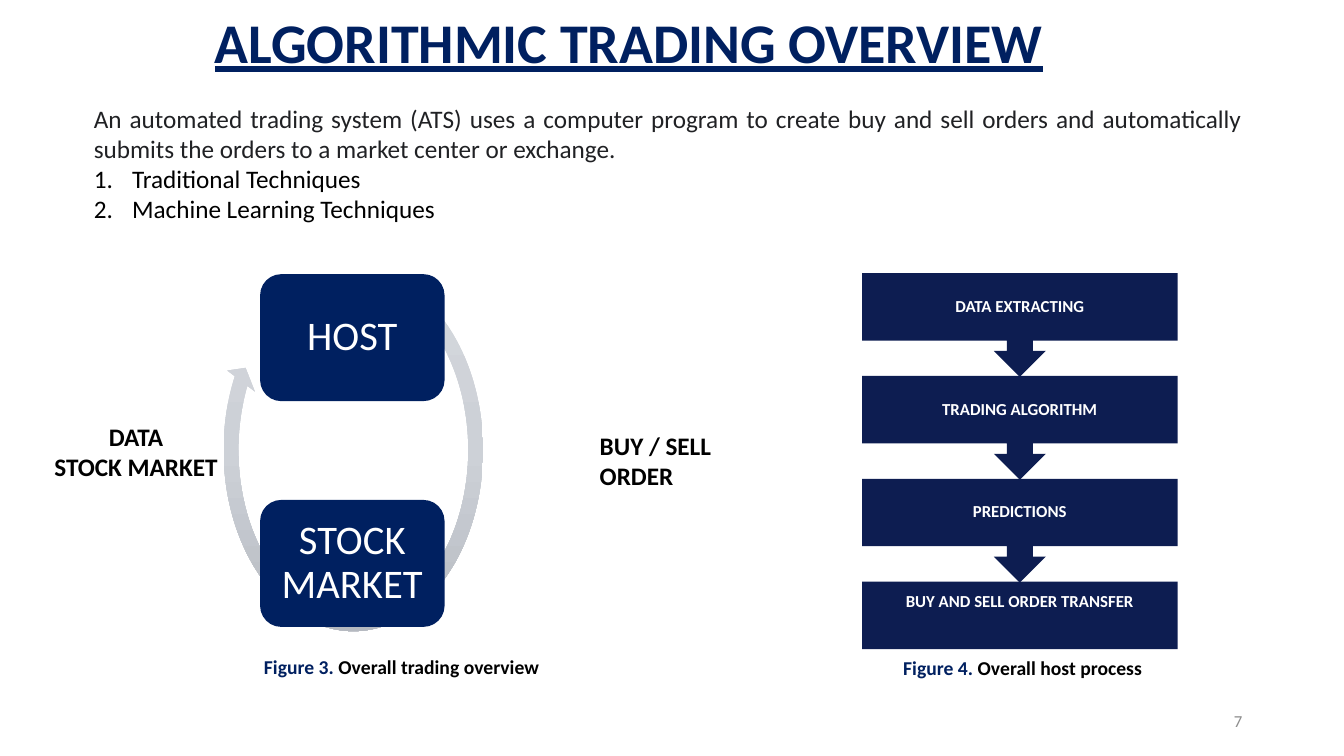
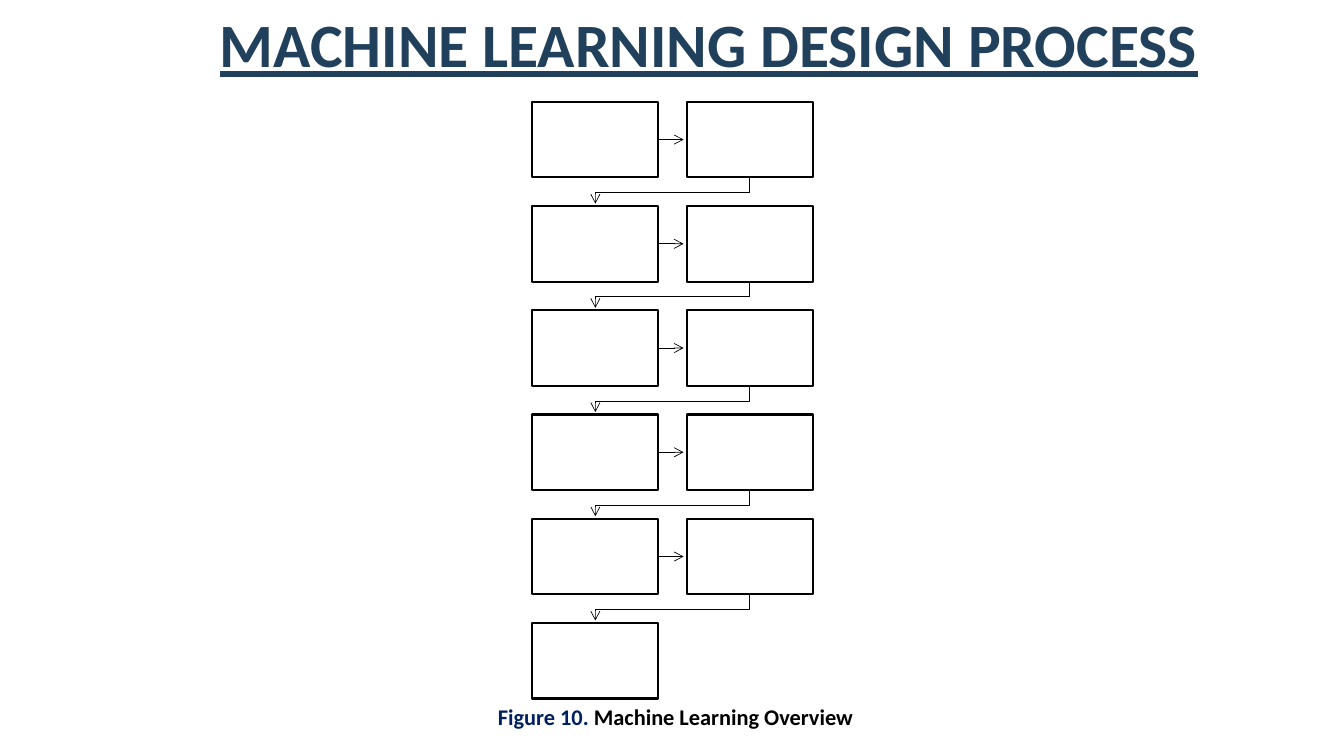
from copy import deepcopy

from lxml import etree
from pptx import Presentation
from pptx.dml.color import RGBColor
from pptx.enum.shapes import MSO_CONNECTOR, MSO_SHAPE
from pptx.enum.text import MSO_ANCHOR, MSO_AUTO_SIZE, PP_ALIGN
from pptx.oxml.ns import qn
from pptx.util import Inches, Pt

FONT = "Calibri"
WHITE = RGBColor(0xFF, 0xFF, 0xFF)
BLACK = RGBColor(0x00, 0x00, 0x00)
NAVY = RGBColor(0x00, 0x20, 0x60)
PROCESS_NAVY = RGBColor(0x0D, 0x1D, 0x51)
SLATE = RGBColor(0x21, 0x40, 0x5C)
INK = RGBColor(0x20, 0x21, 0x24)
GREY = RGBColor(0x8C, 0x8C, 0x8C)
RING_COLOURS = [
    (0, RGBColor(0xD5, 0xD8, 0xDD)),
    (0.5, RGBColor(0xCD, 0xD1, 0xD7)),
    (1, RGBColor(0xB5, 0xB9, 0xC0)),
]

LEFT, CENTER, RIGHT = PP_ALIGN.LEFT, PP_ALIGN.CENTER, PP_ALIGN.RIGHT
JUSTIFY = PP_ALIGN.JUSTIFY
TOP, MIDDLE = MSO_ANCHOR.TOP, MSO_ANCHOR.MIDDLE
NO_AUTOFIT = MSO_AUTO_SIZE.NONE
RECTANGLE = MSO_SHAPE.RECTANGLE
ROUNDED = MSO_SHAPE.ROUNDED_RECTANGLE
CALLOUT = MSO_SHAPE.DOWN_ARROW_CALLOUT
RING = MSO_SHAPE.CIRCULAR_ARROW
STRAIGHT = MSO_CONNECTOR.STRAIGHT


def inches(*lengths):
    return [Inches(length) for length in lengths]


def style_run(span, size, colour, bold=False):
    span.font.name = FONT
    span.font.size = Pt(size)
    span.font.bold = bold
    span.font.color.rgb = colour


def style_paragraph(para, size, colour, bold=False, align=LEFT, spacing=1.0):
    para.alignment = align
    para.line_spacing = spacing
    para.space_before = Pt(0)
    for span in para.runs:
        style_run(span, size, colour, bold)


def set_title(slide, text, box, size, colour, spacing):
    title = slide.shapes.title
    title.left, title.top, title.width, title.height = inches(*box)
    frame = title.text_frame
    frame.text = text
    frame.auto_size = NO_AUTOFIT
    frame.vertical_anchor = TOP
    para = frame.paragraphs[0]
    style_paragraph(para, size, colour, True, spacing=spacing)
    para.runs[0].font.underline = True


def add_label(slide, text, box, size, colour=BLACK, bold=False, align=LEFT,
              anchor=TOP, wrap=True):
    label = slide.shapes.add_textbox(*inches(*box))
    frame = label.text_frame
    frame.text = text
    frame.word_wrap = wrap
    frame.vertical_anchor = anchor
    for para in frame.paragraphs:
        style_paragraph(para, size, colour, bold, align)


def add_caption(slide, number, text, box, size):
    caption = slide.shapes.add_textbox(*inches(*box))
    caption.text_frame.word_wrap = True
    para = caption.text_frame.paragraphs[0]
    for words, colour in ((f"Figure {number}. ", NAVY), (text, BLACK)):
        span = para.add_run()
        span.text = words
        style_run(span, size, colour, True)


def add_block(slide, kind, box, colour):
    block = slide.shapes.add_shape(kind, *inches(*box))
    block.shadow.inherit = False
    block.fill.solid()
    block.fill.fore_color.rgb = colour
    block.line.fill.background()
    return block


def fill_block(block, text, size, inset, bold=False):
    frame = block.text_frame
    frame.text = text
    frame.word_wrap = True
    frame.vertical_anchor = MIDDLE
    frame.margin_left = frame.margin_right = Inches(inset)
    frame.margin_top = frame.margin_bottom = Inches(inset)
    style_paragraph(frame.paragraphs[0], size, WHITE, bold, CENTER, 0.9)


def set_numbering(para, numbered):
    properties = para._p.get_or_add_pPr()
    indent = Inches(0.38) if numbered else 0
    properties.set("marL", str(indent))
    properties.set("indent", str(-indent))
    if numbered:
        bullet = etree.SubElement(properties, qn("a:buAutoNum"))
        bullet.set("type", "arabicPeriod")
    else:
        etree.SubElement(properties, qn("a:buNone"))


def add_introduction(slide, box):
    body = slide.placeholders[1]
    body.left, body.top, body.width, body.height = inches(*box)
    frame = body.text_frame
    frame.text = (
        "An automated trading system (ATS) uses a computer program to create "
        "buy and sell orders and automatically submits the orders to a market "
        "center or exchange.\n"
        "Traditional Techniques\n"
        "Machine Learning Techniques"
    )
    frame.auto_size = NO_AUTOFIT
    frame.vertical_anchor = TOP
    for index, para in enumerate(frame.paragraphs):
        style_paragraph(para, 18, BLACK if index else INK, align=JUSTIFY)
        set_numbering(para, index > 0)


def add_ring(slide, box):
    ring = slide.shapes.add_shape(RING, *inches(*box))
    ring.shadow.inherit = False
    ring.line.fill.background()
    for index, value in enumerate((0.053, 3.439, 126.958, 180.752, 0.062)):
        ring.adjustments[index] = value
    ring.fill.gradient()
    ring.fill.gradient_angle = 270
    stop_list = ring._element.spPr.find(qn("a:gradFill")).find(qn("a:gsLst"))
    stop_list.append(deepcopy(stop_list[-1]))
    for stop, (position, colour) in zip(ring.fill.gradient_stops, RING_COLOURS):
        stop.position = position
        stop.color.rgb = colour


def add_trading_cycle(slide, left, top):
    add_ring(slide, (left + 1.69, top, 2.77, 3.79))
    for text, offset in (("HOST", 0.15), ("STOCK MARKET", 2.39)):
        block = add_block(slide, ROUNDED, (left + 2.15, top + offset, 1.83, 1.26), NAVY)
        fill_block(block, text, 29, 0.12)
    add_label(slide, "BUY / SELL ORDER", (left + 5.42, top + 1.65, 1.9, 0.71), 18,
              bold=True)
    add_label(slide, "DATA\nSTOCK MARKET", (left, top + 1.56, 1.84, 0.71), 18,
              bold=True, align=CENTER, wrap=False)


def add_host_process(slide, left, top, width):
    pitch, callout_height, box_height = 1.02, 1.03, 0.67
    stages = ["DATA EXTRACTING", "TRADING ALGORITHM", "PREDICTIONS"]
    for index, text in enumerate(stages):
        box = (left, top + index * pitch, width, callout_height)
        fill_block(add_block(slide, CALLOUT, box, PROCESS_NAVY), text, 12, 0.09, True)
    box = (left, top + len(stages) * pitch, width, box_height)
    transfer = add_block(slide, RECTANGLE, box, PROCESS_NAVY)
    fill_block(transfer, "BUY AND SELL ORDER TRANSFER", 12, 0.09, True)
    transfer.text_frame.margin_bottom = Inches(0.36)


def style_arrow(arrow):
    arrow.line.color.rgb = BLACK
    arrow.line.width = Pt(0.5)
    line = arrow._element.spPr.find(qn("a:ln"))
    etree.SubElement(line, qn("a:tailEnd")).set("type", "arrow")


def add_side_arrow(slide, left, middle, length):
    arrow = slide.shapes.add_connector(
        STRAIGHT, *inches(left, middle, left + length, middle))
    style_arrow(arrow)
    etree.SubElement(arrow._element.spPr, qn("a:effectLst"))


def add_return_arrow(slide, start, top, end):
    """Lead from the bottom of a right-hand step to the next row."""
    turn = top + 0.15
    points = [(start, top), (start, turn), (end, turn), (end, top + 0.26)]
    corners = [tuple(inches(*point)) for point in points]
    builder = slide.shapes.build_freeform(*corners[0])
    builder.add_line_segments(corners[1:], close=False)
    arrow = builder.convert_to_shape()
    arrow.shadow.inherit = False
    arrow.fill.background()
    style_arrow(arrow)


def add_step_grid(slide, left, top, height, count=11):
    """Place empty steps in two columns, joined in reading order."""
    step_width, step_height, column_pitch = 1.25, 0.75, 1.53
    last_row = (count - 1) // 2
    row_pitch = (height - step_height) / last_row
    for index in range(count):
        row, column = divmod(index, 2)
        x = left + column * column_pitch
        y = top + row * row_pitch
        step = add_block(slide, RECTANGLE, (x, y, step_width, step_height), WHITE)
        step.line.color.rgb = BLACK
        step.line.width = Pt(1.5)
        if index == count - 1:
            continue
        if column == 0:
            add_side_arrow(slide, x + step_width, y + step_height / 2, 0.25)
        else:
            center = x + step_width / 2
            add_return_arrow(slide, center, y + step_height, center - column_pitch)


def build_overview(deck):
    slide = deck.slides.add_slide(deck.slide_layouts[1])
    set_title(slide, "ALGORITHMIC TRADING OVERVIEW", (2.03, 0.1, 10.17, 0.8),
              40, NAVY, 0.9)
    add_introduction(slide, (0.83, 0.97, 11.59, 1.62))
    add_trading_cycle(slide, 0.43, 2.57)
    add_host_process(slide, 8.55, 2.71, 3.13)
    add_caption(slide, 3, "Overall trading overview", (2.52, 6.45, 5, 0.34), 14)
    add_caption(slide, 4, "Overall host process", (8.86, 6.46, 3.35, 0.34), 14)
    add_label(slide, "7", (9.42, 6.95, 3, 0.4), 12, GREY, align=RIGHT, anchor=MIDDLE)


def build_design_process(deck):
    slide = deck.slides.add_slide(deck.slide_layouts[5])
    set_title(slide, "MACHINE LEARNING DESIGN PROCESS", (2.08, 0.01, 11.2, 0.84),
              44, SLATE, 1.0)
    add_step_grid(slide, 5.28, 1.01, 5.92)
    add_caption(slide, 10, "Machine Learning Overview", (4.84, 6.93, 6.67, 0.37), 16)


def main():
    deck = Presentation()
    deck.slide_width, deck.slide_height = inches(13.33, 7.5)
    build_overview(deck)
    build_design_process(deck)
    deck.save("out.pptx")


if __name__ == "__main__":
    main()
